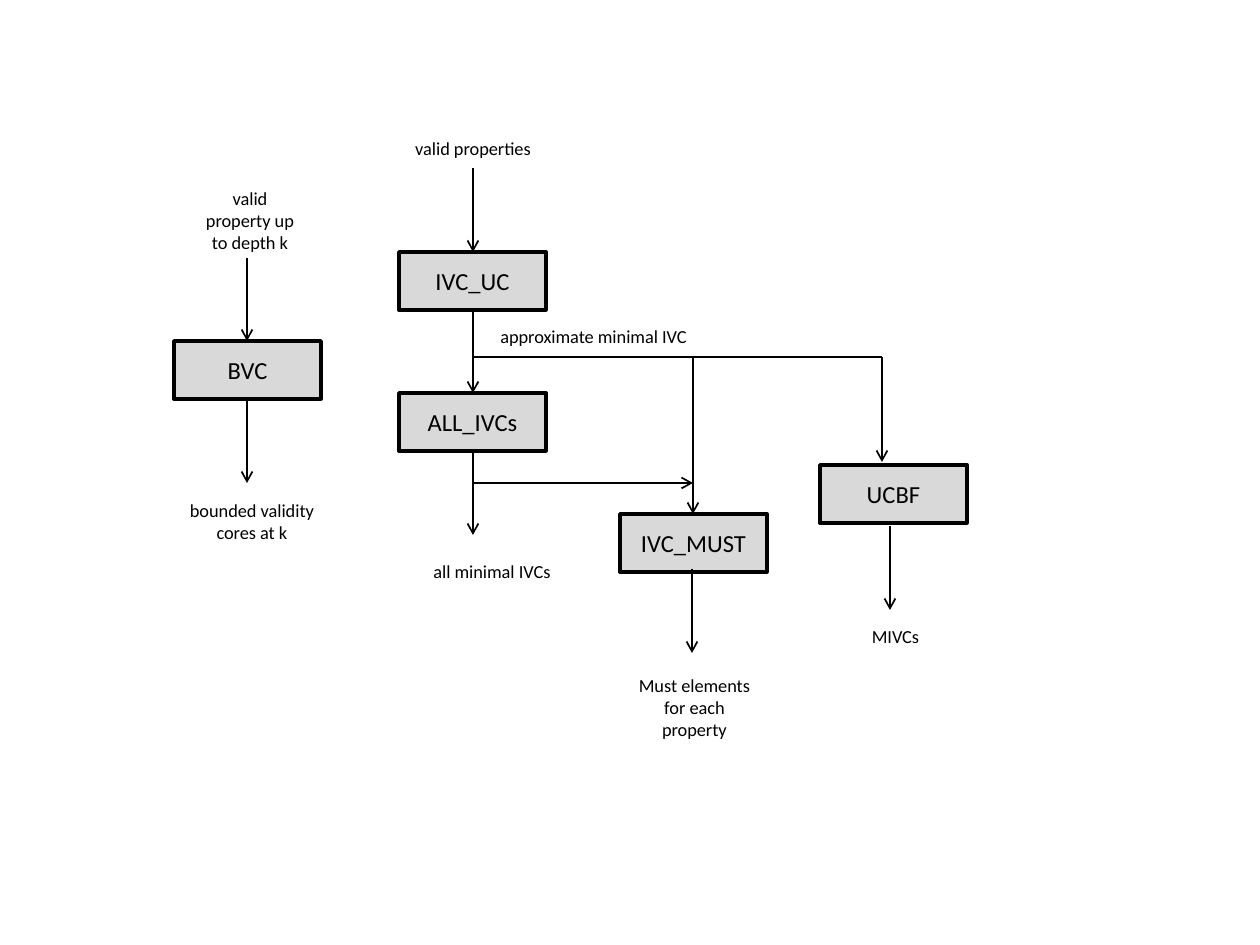
from dataclasses import dataclass

from lxml import etree
from pptx import Presentation
from pptx import util as u
from pptx.dml.color import RGBColor
from pptx.enum import shapes, text
from pptx.oxml.ns import qn

PX = 914400 // 126  # EMU in one px


@dataclass(frozen=True)
class Theme:
    font: str = "Calibri"
    ink: str = "000000"
    fill: str = "D9D9D9"
    box_size: float = 14
    note_size: float = 10.5
    edge: float = 2
    flow: float = 1
    branch: float = 0.75


class Chart:
    BOX = (147, 58)

    def __init__(self, slide, theme):
        self.slide, self.theme = slide, theme

    def label(self, frame, words, size, align):
        frame.word_wrap = True
        para = frame.paragraphs[0]
        para.alignment = align
        run = para.add_run()
        run.text = words
        run.font.name = self.theme.font
        run.font.size = u.Pt(size)
        run.font.color.rgb = RGBColor.from_string(self.theme.ink)

    def stroke(self, line, width):
        line.color.rgb = RGBColor.from_string(self.theme.ink)
        line.width = u.Pt(width)

    def box(self, words, x, y):
        area = [n * PX for n in (x, y, *self.BOX)]
        box = self.slide.shapes.add_shape(shapes.MSO_SHAPE.RECTANGLE, *area)
        box.shadow.inherit = False
        box.fill.solid()
        box.fill.fore_color.rgb = RGBColor.from_string(self.theme.fill)
        self.stroke(box.line, self.theme.edge)
        box.text_frame.vertical_anchor = text.MSO_ANCHOR.MIDDLE
        self.label(box.text_frame, words, self.theme.box_size, text.PP_ALIGN.CENTER)

    def note(self, words, x, y, w, h, align=text.PP_ALIGN.CENTER):
        area = [n * PX for n in (x, y, w, h)]
        frame = self.slide.shapes.add_textbox(*area).text_frame
        frame.auto_size = text.MSO_AUTO_SIZE.SHAPE_TO_FIT_TEXT
        self.label(frame, words, self.theme.note_size, align)

    def line(self, x1, y1, x2, y2, width):
        ends = [n * PX for n in (x1, y1, x2, y2)]
        link = self.slide.shapes.add_connector(shapes.MSO_CONNECTOR.STRAIGHT, *ends)
        self.stroke(link.line, width)
        etree.SubElement(link._element.spPr, qn("a:effectLst"))
        return link

    def arrow(self, *ends):
        link = self.line(*ends, self.theme.flow)
        edge = link._element.spPr.find(qn("a:ln"))
        etree.SubElement(edge, qn("a:tailEnd"), type="arrow")


def main():
    deck = Presentation()
    deck.slide_width, deck.slide_height = u.Inches(10), u.Inches(7.5)
    chart = Chart(deck.slides.add_slide(deck.slide_layouts[6]), Theme())

    # Shared lines of the flow
    trunk, bound, must, ucbf = 473, 247, 693, 882
    fork, merge = 357, 483
    left = text.PP_ALIGN.LEFT

    # Algorithm boxes
    for name, x, y in (
        ("IVC_UC", 399, 252),
        ("ALL_IVCs", 399, 393),
        ("BVC", 174, 341),
        ("IVC_MUST", 620, 514),
        ("UCBF", 820, 465),
    ):
        chart.box(name, x, y)

    # Downward flow: x, top, bottom
    for x, top, end in (
        (trunk, 168, 252),
        (trunk, 310, 393),
        (trunk, 451, 535),
        (bound, 258, 341),
        (bound, 400, 483),
        (must, fork, 514),
        (ucbf, fork, 462),
        (692, 569, 653),
        (890, 526, 610),
    ):
        chart.arrow(x, top, x, end)

    # Branches from the trunk
    chart.line(trunk, fork, ucbf, fork, chart.theme.branch)
    chart.arrow(trunk, merge, must, merge)

    # Inputs and results
    chart.note("valid properties", 338, 131, 270, 35)
    chart.note("approximate minimal IVC", 488, 319, 263, 35, left)
    chart.note("all minimal IVCs", 421, 554, 145, 35, left)
    chart.note("valid property up to depth k", 188, 181, 124, 79)
    chart.note("bounded validity cores at k", 175, 493, 154, 59)
    chart.note("Must elements for each property", 622, 668, 145, 79)
    chart.note("MIVCs", 823, 619, 145, 35)

    deck.save("out.pptx")


if __name__ == "__main__":
    main()
